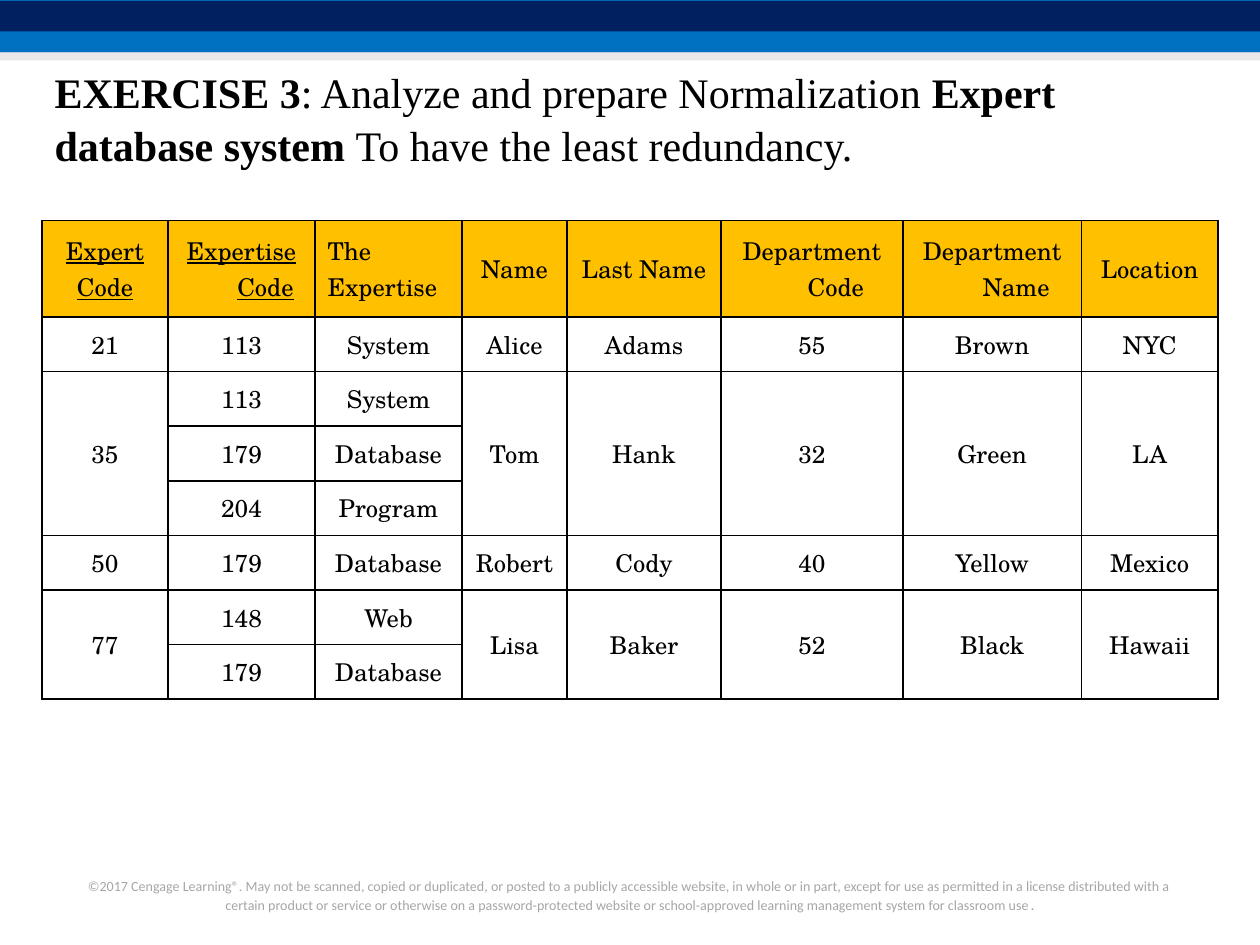
from dataclasses import dataclass

from lxml.etree import SubElement
from pptx import Presentation
from pptx.dml.color import RGBColor
from pptx.enum.shapes import MSO_SHAPE
from pptx.enum.text import MSO_ANCHOR, MSO_AUTO_SIZE, PP_ALIGN
from pptx.oxml.ns import qn
from pptx.util import Inches, Pt

GRID_COLUMNS, GRID_ROWS = 120, 90
TITLE_ONLY = 5


@dataclass(frozen=True)
class Theme:
    blue: str = "0070C0"
    navy: str = "002060"
    mist: str = "D8D3D9"
    amber: str = "FFC000"
    ink: str = "000000"
    muted: str = "A6A6A6"
    title_font: str = "Times New Roman"
    table_font: str = "TeX Gyre Schola"
    footer_font: str = "Calibri"
    title_size: float = 24
    table_size: float = 14
    footer_size: float = 8
    footer_end_size: float = 9
    border_width: float = 1
    hanging_indent: float = 0.38


class SlideBuilder:
    def __init__(self, deck, theme):
        self.theme = theme
        self.slide = deck.slides.add_slide(deck.slide_layouts[TITLE_ONLY])
        self.column = deck.slide_width / GRID_COLUMNS
        self.row = deck.slide_height / GRID_ROWS

    def place(self, left, top, width, height):
        """Turn grid columns and rows into slide lengths."""
        return (round(left * self.column), round(top * self.row),
                round(width * self.column), round(height * self.row))

    def style(self, run, font, size, color, bold=False, underline=False):
        run.font.name = font
        run.font.size = Pt(size)
        run.font.color.rgb = RGBColor.from_string(color)
        run.font.bold = bold
        run.font.underline = underline

    def band(self, area, color, opacity=100):
        band = self.slide.shapes.add_shape(MSO_SHAPE.RECTANGLE, *self.place(*area))
        band.shadow.inherit = False
        band.line.fill.background()
        band.fill.solid()
        band.fill.fore_color.rgb = RGBColor.from_string(color)
        if opacity < 100:
            tint = band.fill._xPr.find(".//" + qn("a:srgbClr"))
            SubElement(tint, qn("a:alpha"), val=str(opacity * 1000))

    def title(self, area, parts):
        """Fill the title with (text, bold) parts."""
        theme = self.theme
        title = self.slide.shapes.title
        title.left, title.top, title.width, title.height = self.place(*area)
        frame = title.text_frame
        frame.word_wrap = True
        frame.auto_size = MSO_AUTO_SIZE.NONE
        frame.vertical_anchor = MSO_ANCHOR.TOP
        paragraph = frame.paragraphs[0]
        paragraph.alignment = PP_ALIGN.LEFT
        paragraph.line_spacing = 1.05
        for wording, bold in parts:
            run = paragraph.add_run()
            run.text = wording
            self.style(run, theme.title_font, theme.title_size, theme.ink, bold)

    def footer(self, area, parts):
        """Add a centred footer of (text, size) parts."""
        footer = self.slide.shapes.add_textbox(*self.place(*area))
        footer.text_frame.word_wrap = True
        paragraph = footer.text_frame.paragraphs[0]
        paragraph.alignment = PP_ALIGN.CENTER
        for wording, size in parts:
            run = paragraph.add_run()
            run.text = wording
            self.style(run, self.theme.footer_font, size, self.theme.muted)

    def border(self, cell):
        properties = cell._tc.get_or_add_tcPr()
        for side in ("lnL", "lnR", "lnT", "lnB"):
            line = SubElement(properties, qn(f"a:{side}"),
                              w=str(Pt(self.theme.border_width)))
            fill = SubElement(line, qn("a:solidFill"))
            SubElement(fill, qn("a:srgbClr"), val=self.theme.ink)

    def cell(self, cell, wording, header, key, left_aligned):
        theme = self.theme
        self.border(cell)
        if header:
            cell.fill.solid()
            cell.fill.fore_color.rgb = RGBColor.from_string(theme.amber)
        else:
            cell.fill.background()
        cell.vertical_anchor = MSO_ANCHOR.MIDDLE
        cell.text_frame.text = wording
        indent = Inches(theme.hanging_indent)
        for paragraph in cell.text_frame.paragraphs:
            paragraph.alignment = PP_ALIGN.LEFT if left_aligned else PP_ALIGN.CENTER
            if header:
                layout = paragraph._p.get_or_add_pPr()
                layout.set("marL", str(indent))
                layout.set("indent", str(-indent))
            for run in paragraph.runs:
                self.style(run, theme.table_font, theme.table_size, theme.ink,
                           underline=key)

    def table(self, area, widths, heights, header, experts, keys, left_column):
        """Add one row per skill; merge each expert's other columns."""
        shape = self.slide.shapes.add_table(len(heights), len(widths),
                                            *self.place(*area))
        table = shape.table
        table.first_row = table.horz_banding = False
        for column, width in zip(table.columns, widths):
            column.width = round(width * self.column)
        for row, height in zip(table.rows, heights):
            row.height = round(height * self.row)

        lines = [header]
        merges = []
        for code, skills, *details in experts:
            start = len(lines)
            for number, skill in enumerate(skills):
                own = [code, *details] if number == 0 else [""] * (1 + len(details))
                lines.append([own[0], *skill, *own[1:]])
            if len(skills) > 1:
                merges.append((start, len(lines) - 1))

        for r, line in enumerate(lines):
            for c, wording in enumerate(line):
                is_header = r == 0
                self.cell(table.cell(r, c), wording, is_header,
                          is_header and c in keys, is_header and c == left_column)
        for first, last in merges:
            for c in (0, *range(3, len(widths))):
                table.cell(first, c).merge(table.cell(last, c))


HEADER = ["Expert\nCode", "Expertise Code", "The\nExpertise", "Name", "Last Name",
          "Department Code", "Department Name", "Location"]
SYSTEM, DATABASE = ("113", "System"), ("179", "Database")
EXPERTS = [
    ("21", [SYSTEM], "Alice", "Adams", "55", "Brown", "NYC"),
    ("35", [SYSTEM, DATABASE, ("204", "Program")], "Tom", "Hank", "32", "Green", "LA"),
    ("50", [DATABASE], "Robert", "Cody", "40", "Yellow", "Mexico"),
    ("77", [("148", "Web"), DATABASE], "Lisa", "Baker", "52", "Black", "Hawaii"),
]
COPYRIGHT = (
    "©2017 Cengage Learning®. May not be scanned, copied or duplicated, or posted to "
    "a publicly accessible website, in whole or in part, except for use as permitted "
    "in a license distributed with a certain product or service or otherwise on a "
    "password-protected website or school-approved learning management system for "
    "classroom use"
)


def main():
    deck = Presentation()
    deck.slide_width, deck.slide_height = Inches(10), Inches(7.5)
    theme = Theme()
    page = SlideBuilder(deck, theme)
    page.band((0, 0, GRID_COLUMNS, 5), theme.blue)
    page.band((0, 0.1, GRID_COLUMNS, 2.9), theme.navy)
    page.band((0, 5, GRID_COLUMNS, 0.75), theme.mist, opacity=50)
    page.footer((7, 83, 106, 4.7),
                [(COPYRIGHT, theme.footer_size), (".", theme.footer_end_size)])
    page.table((4, 21, 112, 45.6),
               widths=[12, 14, 14, 10, 14.67, 17.33, 17, 13],
               heights=[9.2] + [5.2] * 7,
               header=HEADER, experts=EXPERTS, keys=(0, 1), left_column=2)
    page.title((4, 5.5, 112.4, 13.4), [
        ("EXERCISE 3", True),
        (": Analyze and prepare Normalization ", False),
        ("Expert database system ", True),
        ("To have the least redundancy.", False),
    ])
    deck.save("out.pptx")


if __name__ == "__main__":
    main()
